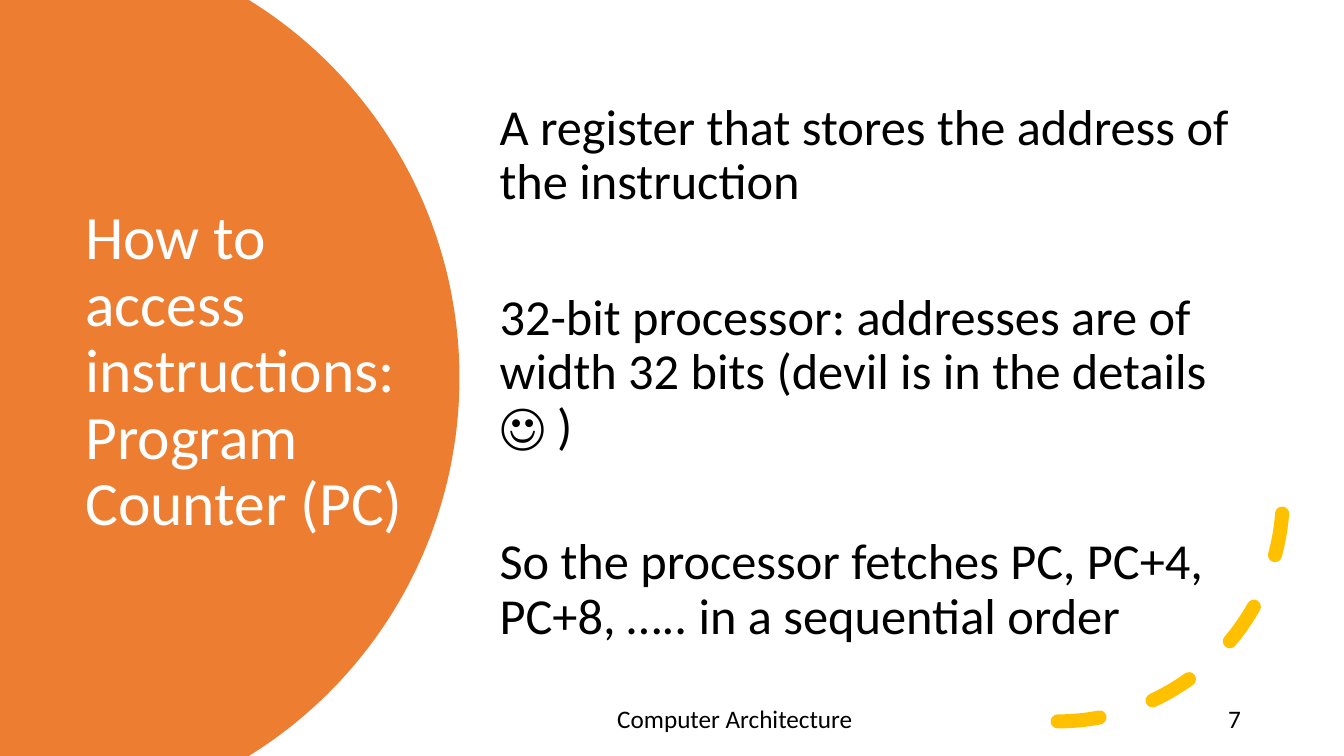
import math
import pptx
import pptx.util
import pptx.dml.color
import pptx.enum.dml
import pptx.enum.shapes
import pptx.enum.text
import pptx.oxml.ns
from pptx.util import Cm

ALIGN = pptx.enum.text.PP_ALIGN
COLORS = {"panel": "ED7D31", "arc": "FFC000", "title": "FFFFFF", "text": "000000"}
FONT = "Calibri"
WIDTH, HEIGHT = 33.87, 19.05

TITLE = ["How to access instructions: Program Counter (PC)"]
POINTS = [
    "A register that stores the address of the instruction",
    "32-bit processor: addresses are of width 32 bits (devil is in the details ☺ )",
    "So the processor fetches PC, PC+4, PC+8, ….. in a sequential order",
]
TEXTS = [
    (TITLE, (1.9, 3.2, 8.9, 12.4), 44, "title", ALIGN.LEFT),
    (POINTS, (12.34, 1.65, 19.18, 15.52), 36, "text", ALIGN.LEFT),
    (["Computer Architecture"], (11.23, 17.65, 14.58, 1.02), 18, "text", ALIGN.CENTER),
    (["7"], (26.49, 17.65, 5.03, 1.02), 18, "text", ALIGN.RIGHT),
]
PARAGRAPH_GAP = 58

PANEL_CENTER_X, PANEL_RADIUS, PANEL_STEPS = 0.38, 11.2, 120
ARC_BOX = (20.98, 6.83, 11.35, 11.35)


def rgb(name):
    return pptx.dml.color.RGBColor.from_string(COLORS[name])


def add_panel(slide):
    half = math.asin(HEIGHT / 2 / PANEL_RADIUS)
    angles = [half * (2 * i / PANEL_STEPS - 1) for i in range(PANEL_STEPS + 1)]
    edge = [(Cm(PANEL_CENTER_X + PANEL_RADIUS * math.cos(a)),
             Cm(HEIGHT / 2 + PANEL_RADIUS * math.sin(a))) for a in angles]
    builder = slide.shapes.build_freeform(0, 0)
    builder.add_line_segments(edge + [(0, Cm(HEIGHT))], close=True)
    s = builder.convert_to_shape()
    s.shadow.inherit = False
    s.fill.solid()
    s.fill.fore_color.rgb = rgb("panel")
    s.line.fill.background()


def add_arc(slide):
    s = slide.shapes.add_shape(pptx.enum.shapes.MSO_SHAPE.ARC, *map(Cm, ARC_BOX))
    s.shadow.inherit = False
    s.fill.background()
    s.line.color.rgb = rgb("arc")
    s.line.width = pptx.util.Pt(10)
    s.line.dash_style = pptx.enum.dml.MSO_LINE.DASH
    properties = s._element.spPr
    properties.find(pptx.oxml.ns.qn("a:ln")).set("cap", "rnd")
    properties.find(pptx.oxml.ns.qn("a:xfrm")).set("flipV", "1")


def add_text(slide, lines, box, size, color, align):
    tf = slide.shapes.add_textbox(*map(Cm, box)).text_frame
    tf.word_wrap = True
    tf.vertical_anchor = pptx.enum.text.MSO_ANCHOR.MIDDLE
    for i, line in enumerate(lines):
        p = tf.add_paragraph() if i else tf.paragraphs[0]
        p.text = line
        p.alignment = align
        p.line_spacing = 0.9
        p.space_before = pptx.util.Pt(PARAGRAPH_GAP if i else 0)
        p.font.name = FONT
        p.font.size = pptx.util.Pt(size)
        p.font.color.rgb = rgb(color)


def main():
    prs = pptx.Presentation()
    prs.slide_width, prs.slide_height = Cm(WIDTH), Cm(HEIGHT)
    slide = prs.slides.add_slide(prs.slide_layouts[6])
    add_panel(slide)
    add_arc(slide)
    for text in TEXTS:
        add_text(slide, *text)
    prs.save("out.pptx")


if __name__ == "__main__":
    main()
